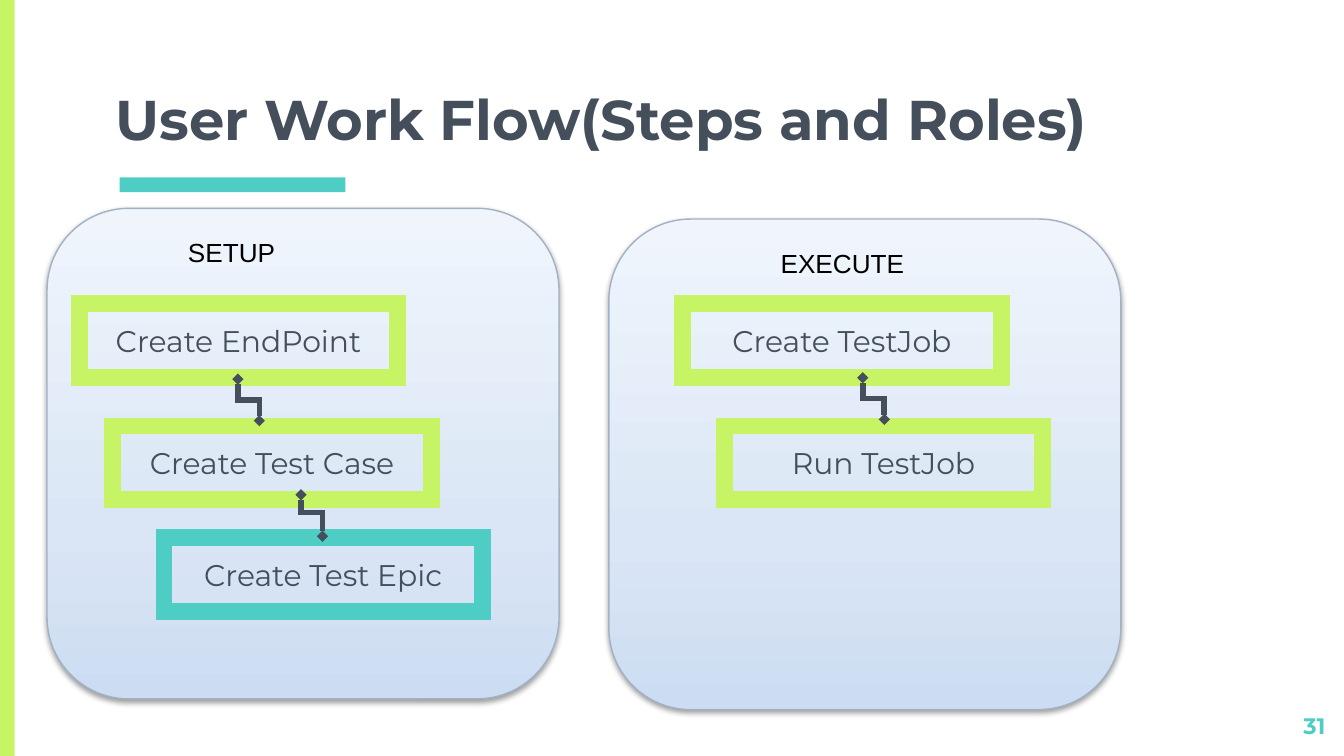
from copy import deepcopy
from dataclasses import dataclass

from lxml.etree import SubElement
from pptx import Presentation
from pptx.dml.color import RGBColor
from pptx.enum.shapes import MSO_CONNECTOR, MSO_SHAPE
from pptx.enum.text import MSO_ANCHOR, PP_ALIGN
from pptx.oxml.ns import qn
from pptx.util import Inches, Pt


@dataclass(frozen=True)
class Theme:
    lime: RGBColor = RGBColor(0xC7, 0xF4, 0x64)
    teal: RGBColor = RGBColor(0x4E, 0xCD, 0xC4)
    slate: RGBColor = RGBColor(0x45, 0x4F, 0x5B)
    black: RGBColor = RGBColor(0, 0, 0)
    panel_line: RGBColor = RGBColor(0xA2, 0xB1, 0xC3)
    panel_stops: tuple = ((0, "CCDCF2"), (0.35, "DAE6F5"), (1, "F0F5FC"))
    heading_font: str = "Montserrat"
    label_font: str = "Arial"
    title_size: int = 30
    step_size: int = 16
    label_size: int = 14
    number_size: int = 12


THEME = Theme()
SLIDE_WIDTH = 10
SLIDE_HEIGHT = SLIDE_WIDTH * 9 / 16
STEP_WIDTH, STEP_HEIGHT = 2.37, 0.55
LINK_WIDTH, LINK_HEIGHT = 0.16, 0.31

PANELS = [
    {
        "box": (0.35, 1.55, 3.81, 3.65),
        "label": ("SETUP", 0.95),
        "steps": [
            ("Create EndPoint", 0.24, 0.71, THEME.lime),
            ("Create Test Case", 0.49, 1.62, THEME.lime),
            ("Create Test Epic", 0.87, 2.45, THEME.teal),
        ],
        "links": [(1.42, 1.27, 0.5), (1.89, 2.13, 0.43)],
    },
    {
        "box": (4.53, 1.63, 3.81, 3.65),
        "label": ("EXECUTE", 1.18),
        "steps": [
            ("Create TestJob", 0.55, 0.63, THEME.lime),
            ("Run TestJob", 0.86, 1.54, THEME.lime),
        ],
        "links": [(1.89, 1.18, 0.5)],
    },
]


def inches(box):
    return [Inches(length) for length in box]


def write(shape, text, font_format, align=PP_ALIGN.LEFT, anchor=MSO_ANCHOR.TOP,
          inset=0.1):
    frame = shape.text_frame
    frame_format = {
        "word_wrap": True,
        "vertical_anchor": anchor,
        "margin_top": Inches(inset),
        "margin_bottom": Inches(inset),
    }
    for name, value in frame_format.items():
        setattr(frame, name, value)
    paragraph = frame.paragraphs[0]
    paragraph.alignment = align
    run = paragraph.add_run()
    run.text = text
    color, size, font_name, bold = font_format
    for name, value in {"size": Pt(size), "name": font_name, "bold": bold}.items():
        setattr(run.font, name, value)
    run.font.color.rgb = color


def set_line(line, color, width):
    """Draw a solid line with sharp corners and return its XML element."""
    line.color.rgb = color
    line.width = Pt(width)
    outline = line._get_or_add_ln()
    SubElement(outline, qn("a:miter"), lim="800000")
    return outline


def add_bar(slide, box, color):
    bar = slide.shapes.add_shape(MSO_SHAPE.RECTANGLE, *inches(box))
    bar.shadow.inherit = False
    bar.fill.solid()
    bar.fill.fore_color.rgb = color
    bar.line.fill.background()


def add_header(slide, box):
    left, top, width, height = box
    title = slide.shapes.add_textbox(*inches(box))
    write(title, "User Work Flow(Steps and Roles)",
          (THEME.slate, THEME.title_size, THEME.heading_font, True),
          anchor=MSO_ANCHOR.BOTTOM)
    add_bar(slide, (left + 0.13, top + height + 0.09, 1.68, 0.11), THEME.teal)


def add_page_number(slide, box):
    number = slide.shapes.add_textbox(*inches(box))
    write(number, "31",
          (THEME.teal, THEME.number_size, THEME.heading_font, True),
          align=PP_ALIGN.RIGHT)


def add_panel_background(slide, box):
    panel = slide.shapes.add_shape(MSO_SHAPE.ROUNDED_RECTANGLE, *inches(box))
    set_line(panel.line, THEME.panel_line, 0.75)
    panel.fill.gradient()
    panel.fill.gradient_angle = 90
    properties = panel._element.spPr
    stops = properties.find(".//" + qn("a:gsLst"))
    stops.insert(1, deepcopy(stops[0]))
    for stop, (position, color) in zip(panel.fill.gradient_stops, THEME.panel_stops):
        stop.position = position
        stop.color.rgb = RGBColor.from_string(color)
    panel.shadow.inherit = False
    shadow = SubElement(properties.find(qn("a:effectLst")), qn("a:outerShdw"),
                        blurRad=str(Pt(3.1)), dist=str(Pt(1.6)),
                        dir="5400000", rotWithShape="0")
    shade = SubElement(shadow, qn("a:srgbClr"), val=str(THEME.black))
    SubElement(shade, qn("a:alpha"), val="38000")


def add_step(slide, text, left, top, color):
    step = slide.shapes.add_shape(
        MSO_SHAPE.RECTANGLE, *inches((left, top, STEP_WIDTH, STEP_HEIGHT)))
    step.shadow.inherit = False
    step.fill.background()
    set_line(step.line, color, 9)
    write(step, text, (THEME.slate, THEME.step_size, THEME.heading_font, False),
          align=PP_ALIGN.CENTER, anchor=MSO_ANCHOR.MIDDLE)


def add_link(slide, left, top, bend):
    """Elbow that leaves downwards: a flipped one turned a quarter about its centre."""
    middle_x, middle_y = left + LINK_WIDTH / 2, top + LINK_HEIGHT / 2
    half_run, half_rise = LINK_HEIGHT / 2, LINK_WIDTH / 2
    link = slide.shapes.add_connector(MSO_CONNECTOR.ELBOW, *inches((
        middle_x - half_run, middle_y + half_rise,
        middle_x + half_run, middle_y - half_rise)))
    outline = set_line(link.line, THEME.slate, 3)
    for end in ("a:headEnd", "a:tailEnd"):
        SubElement(outline, qn(end), type="diamond", w="sm", len="sm")
    properties = link._element.spPr
    properties.find(qn("a:xfrm")).set("rot", "5400000")
    SubElement(properties.find(".//" + qn("a:avLst")), qn("a:gd"),
               name="adj1", fmla=f"val {round(bend * 100000)}")
    SubElement(properties, qn("a:effectLst"))


def add_workflow_panel(slide, box, label, steps, links):
    left, top = box[:2]
    add_panel_background(slide, box)
    label_text, label_left = label
    heading = slide.shapes.add_textbox(
        *inches((left + label_left, top + 0.16, 1.3, 0.34)))
    write(heading, label_text,
          (THEME.black, THEME.label_size, THEME.label_font, False), inset=0.05)
    for text, step_left, step_top, color in steps:
        add_step(slide, text, left + step_left, top + step_top, color)
    for link_left, link_top, bend in links:
        add_link(slide, left + link_left, top + link_top, bend)


def main():
    presentation = Presentation()
    presentation.slide_width = Inches(SLIDE_WIDTH)
    presentation.slide_height = Inches(SLIDE_HEIGHT)
    slide = presentation.slides.add_slide(presentation.slide_layouts[6])
    add_bar(slide, (0, 0, 0.11, SLIDE_HEIGHT), THEME.lime)
    add_header(slide, (0.76, 0.17, 8.49, 1.06))
    for panel in PANELS:
        add_workflow_panel(slide, **panel)
    add_page_number(slide, (9.36, 5.2, 0.6, 0.34))
    presentation.save("out.pptx")


if __name__ == "__main__":
    main()
